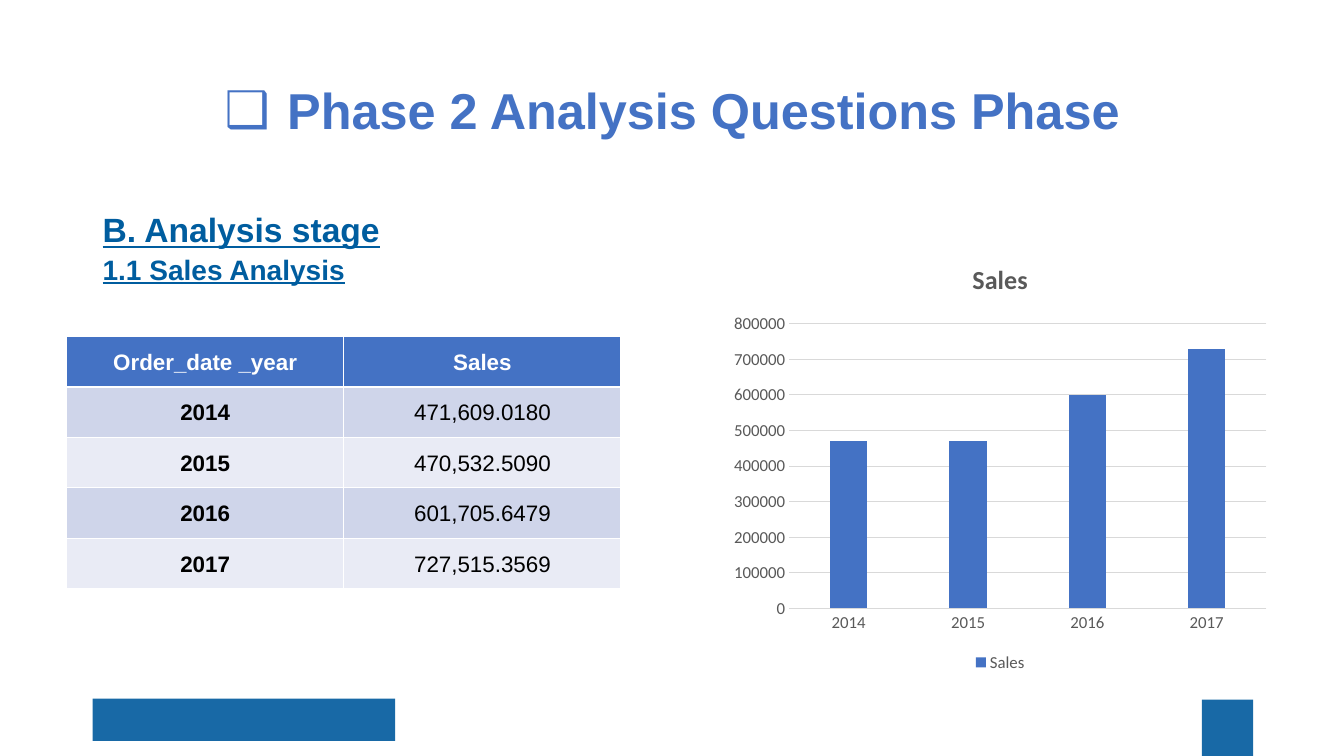
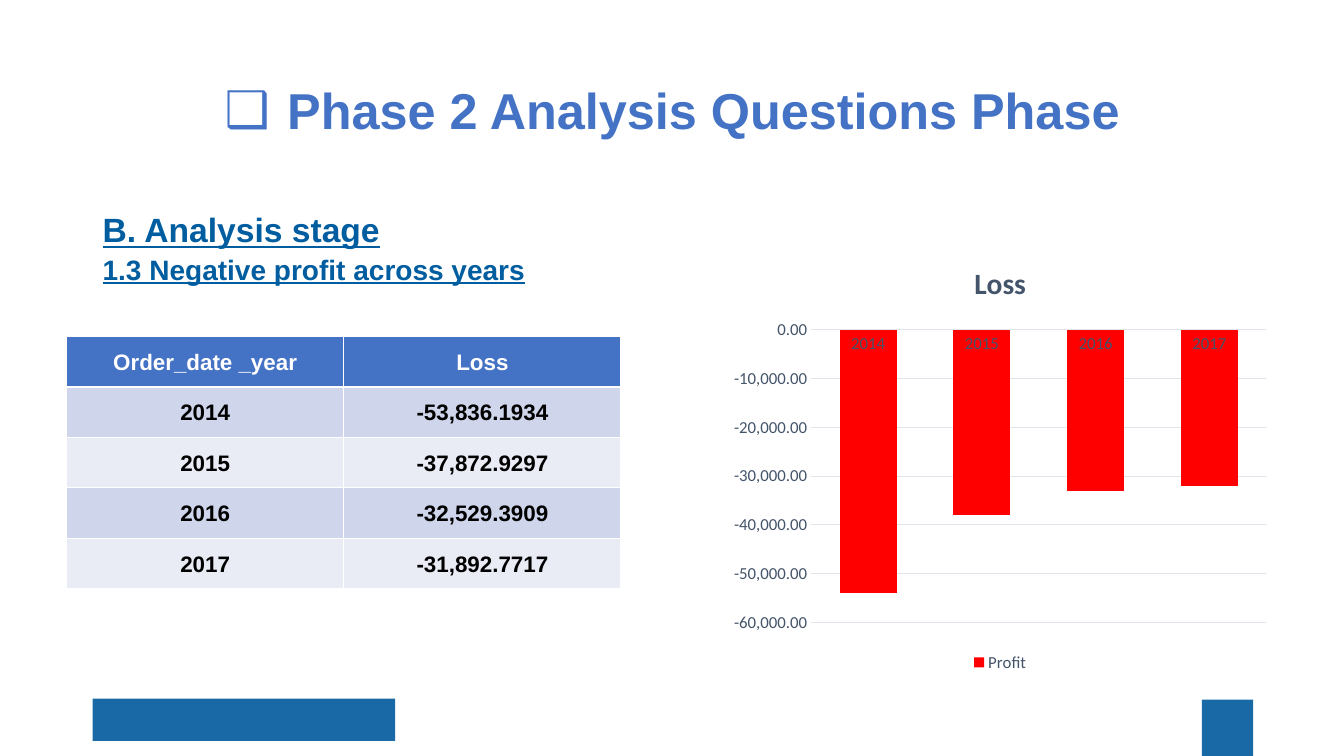
from lxml.etree import SubElement
from pptx import Presentation
from pptx.chart.data import CategoryChartData
from pptx.dml.color import RGBColor
from pptx.enum.chart import XL_CHART_TYPE, XL_LEGEND_POSITION, XL_TICK_MARK
from pptx.enum.shapes import MSO_SHAPE
from pptx.enum.text import MSO_ANCHOR, MSO_AUTO_SIZE, PP_ALIGN
from pptx.oxml.ns import qn
from pptx.util import Inches, Pt

COLORS = {
    "title": "4472C4", "heading": "005D9F", "band": "1869A6",
    "header": "4472C4", "odd_row": "CFD5EA", "even_row": "E9EBF5",
    "white": "FFFFFF", "black": "000000",
    "sales_bar": "4472C4", "sales_text": "595959", "sales_grid": "D9D9D9",
    "loss_bar": "FF0000", "loss_text": "44546A", "loss_grid": "E0E5EB",
}
YEARS = ["2014", "2015", "2016", "2017"]
TITLE = "Phase 2 Analysis Questions Phase"
STAGE = "B. Analysis stage"


def color(name):
    return RGBColor.from_string(COLORS[name])


def box(left, top, width, height):
    return [Inches(length) for length in (left, top, width, height)]


def set_values(target, **values):
    for name, value in values.items():
        setattr(target, name, value)


def set_font(font, size, color_name, **values):
    set_values(font, **{"size": Pt(size), "name": "Arial", **values})
    font.color.rgb = color(color_name)


class Deck:
    def __init__(self):
        self.presentation = Presentation()
        set_values(self.presentation,
                   slide_width=Inches(13.33), slide_height=Inches(7.5))
        self.slide = None

    def add_slide(self, title):
        layout = self.presentation.slide_layouts[5]
        self.slide = self.presentation.slides.add_slide(layout)
        self.add_band(0.92, 6.93, 3, 0.42)
        self.add_band(11.92, 6.94, 0.51, 0.56)
        self.set_title(title)

    def add_band(self, *place):
        band = self.slide.shapes.add_shape(MSO_SHAPE.RECTANGLE, *box(*place))
        band.shadow.inherit = False
        band.fill.solid()
        band.fill.fore_color.rgb = color("band")
        band.line.fill.background()

    def set_title(self, text):
        shape = self.slide.shapes.title
        left, top, width, height = box(0.92, 0.4, 11.5, 1.45)
        set_values(shape, left=left, top=top, width=width, height=height)
        set_values(shape.text_frame, text=text, word_wrap=True,
                   auto_size=MSO_AUTO_SIZE.NONE,
                   vertical_anchor=MSO_ANCHOR.MIDDLE)
        paragraph = shape.text_frame.paragraphs[0]
        set_values(paragraph, alignment=PP_ALIGN.CENTER, line_spacing=0.9)
        # Hanging square bullet
        properties = paragraph._p.get_or_add_pPr()
        properties.set("marL", str(Inches(0.62)))
        properties.set("indent", str(Inches(-0.62)))
        SubElement(properties, qn("a:buFont"), typeface="Arial")
        SubElement(properties, qn("a:buChar"), char="❑")
        set_font(paragraph.runs[0].font, 36, "title", bold=True)

    def add_headings(self, *headings):
        text_box = self.slide.shapes.add_textbox(*box(0.92, 2, 11.5, 4.76))
        frame = text_box.text_frame
        frame.word_wrap = True
        for index, (text, size) in enumerate(headings):
            paragraph = frame.add_paragraph() if index else frame.paragraphs[0]
            set_values(paragraph, text=text, line_spacing=1.07)
            set_font(paragraph.runs[0].font, size, "heading",
                     bold=True, underline=True)

    def add_table(self, rows, bold_values):
        table = self.slide.shapes.add_table(
            len(rows), 2, *box(0.66, 3.34, 5.5, 0.5 * len(rows))).table
        for row_index, row in enumerate(rows):
            is_header = row_index == 0
            fill = "header" if is_header else (
                "odd_row" if row_index % 2 else "even_row")
            for column_index, text in enumerate(row):
                cell = table.cell(row_index, column_index)
                set_values(cell, text=text, vertical_anchor=MSO_ANCHOR.MIDDLE,
                           margin_left=Inches(0.07), margin_right=Inches(0.07),
                           margin_top=0, margin_bottom=0)
                cell.fill.solid()
                cell.fill.fore_color.rgb = color(fill)
                paragraph = cell.text_frame.paragraphs[0]
                set_values(paragraph, alignment=PP_ALIGN.CENTER,
                           line_spacing=1.07)
                set_font(paragraph.runs[0].font, 16,
                         "white" if is_header else "black",
                         bold=is_header or column_index == 0 or bold_values)

    def add_chart(self, title, title_size, series_name, values, palette,
                  gap, overlap, scale, number_format):
        text_color, grid_color = palette + "_text", palette + "_grid"
        data = CategoryChartData()
        data.categories = YEARS
        data.add_series(series_name, values)
        chart = self.slide.shapes.add_chart(
            XL_CHART_TYPE.COLUMN_CLUSTERED, *box(7.17, 2.41, 5.5, 4.3),
            data).chart
        set_font(chart.font, 12, text_color, name="Calibri")

        # Title and legend
        set_values(chart, has_title=True, has_legend=True)
        chart.chart_title.include_in_layout = False
        frame = chart.chart_title.text_frame
        frame.text = title
        set_font(frame.paragraphs[0].runs[0].font, title_size, text_color,
                 name="Calibri", bold=True)
        set_values(chart.legend, position=XL_LEGEND_POSITION.BOTTOM,
                   include_in_layout=False)
        set_font(chart.legend.font, 12, text_color, name="Calibri")

        # Axes
        for axis in (chart.category_axis, chart.value_axis):
            set_values(axis, major_tick_mark=XL_TICK_MARK.NONE,
                       minor_tick_mark=XL_TICK_MARK.NONE)
            set_font(axis.tick_labels.font, 12, text_color, name="Calibri")
        minimum, maximum, step = scale
        set_values(chart.value_axis, minimum_scale=minimum,
                   maximum_scale=maximum, major_unit=step)
        set_values(chart.value_axis.tick_labels, number_format=number_format,
                   number_format_is_linked=False)
        chart.value_axis.format.line.fill.background()
        for line in (chart.category_axis.format.line,
                     chart.value_axis.major_gridlines.format.line):
            line.width = Pt(0.75)
            line.color.rgb = color(grid_color)

        # Columns
        plot = chart.plots[0]
        set_values(plot, gap_width=gap, overlap=overlap,
                   vary_by_categories=False)
        series = plot.series[0]
        series.invert_if_negative = False
        series.format.fill.solid()
        series.format.fill.fore_color.rgb = color(palette + "_bar")


def main():
    deck = Deck()

    # Sales by year
    deck.add_slide(TITLE)
    deck.add_headings((STAGE, 24), ("1.1 Sales Analysis", 20))
    sales = ["471,609.0180", "470,532.5090", "601,705.6479", "727,515.3569"]
    deck.add_chart("Sales", 18.6, "Sales", [470000, 470000, 600000, 730000],
                   "sales", 219, -27, (0, 800000, 100000), "General")
    deck.add_table([("Order_date _year", "Sales"), *zip(YEARS, sales)],
                   bold_values=False)

    # Loss by year
    deck.add_slide(TITLE)
    deck.add_headings((STAGE, 24), ("1.3 Negative profit across years", 20))
    losses = ["-53,836.1934", "-37,872.9297", "-32,529.3909", "-31,892.7717"]
    deck.add_chart("Loss", 21, "Profit", [-54000, -38000, -33000, -32000],
                   "loss", 100, -24, (-60000, 0, 10000), "#,##0.00")
    deck.add_table([("Order_date _year", "Loss"), *zip(YEARS, losses)],
                   bold_values=True)

    deck.presentation.save("out.pptx")


if __name__ == "__main__":
    main()
